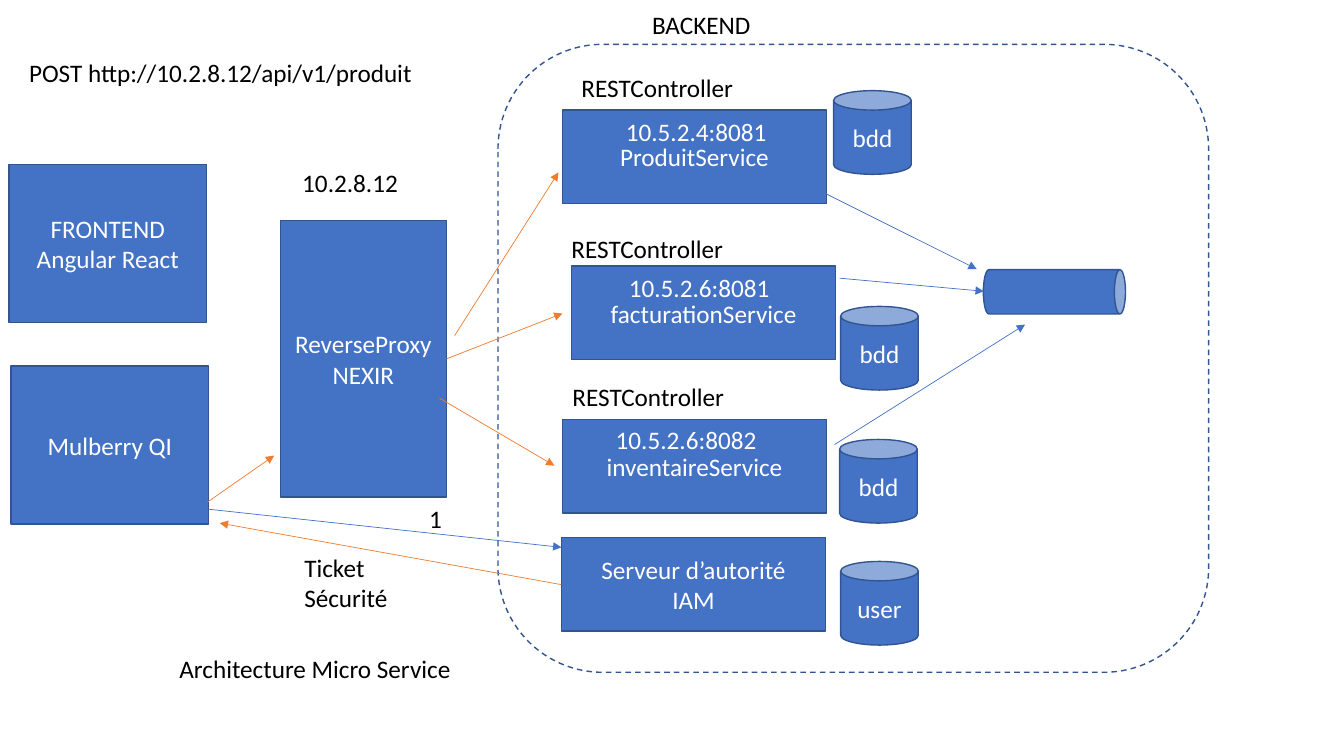
"""Build the micro-service architecture slide on a grid of tenth-of-an-inch cells."""
from typing import NamedTuple

import pptx
import pptx.dml.color
import pptx.enum.dml
import pptx.enum.shapes
import pptx.enum.text
import pptx.oxml
import pptx.oxml.ns
import pptx.util

COLUMNS, ROWS = 133.33, 75
CELL = pptx.util.Inches(0.1)
BLUE, EDGE, ORANGE, WHITE, BLACK = "4472C4", "325491", "ED7D31", "FFFFFF", "000000"
Preset = pptx.enum.shapes.MSO_SHAPE
Align = pptx.enum.text.PP_ALIGN
Anchor = pptx.enum.text.MSO_ANCHOR


class Area(NamedTuple):
    column: float
    row: float
    columns: float
    rows: float


class Node(NamedTuple):
    area: Area
    lines: tuple[str, ...] = ()
    preset: int = Preset.RECTANGLE
    rotation: float = 0


class Label(NamedTuple):
    area: Area
    lines: tuple[str, ...]
    color: str = BLACK


class Service(NamedTuple):
    name: str
    address: str
    corner: tuple[float, float]
    address_corner: tuple[float, float]
    controller_corner: tuple[float, float]


class Arrow(NamedTuple):
    start: tuple[float, float]
    end: tuple[float, float]
    color: str


SERVICE_SIZE, CLIENT_SIZE, STORE_SIZE = (26.2, 9.3), (19.6, 15.7), (7.7, 8.3)
BACKEND = Area(49.4, 4.4, 70.5, 62.3)
CAPTION = Label(Area(16.8, 64.3, 29.5, 4), ("Architecture Micro Service",))
SERVICES = [
    Service("ProduitService", "10.5.2.4:8081", (55.8, 10.9), (61.1, 11), (56.7, 6.7)),
    Service("facturationService", "10.5.2.6:8081", (56.7, 26.4), (61.4, 26.5), (55.7, 22.7)),
    Service("inventaireService", "10.5.2.6:8082", (55.8, 41.6), (60.1, 41.6), (55.8, 37.3)),
]
STORES = [("bdd", 82.7, 9), ("bdd", 83.4, 30.4), ("bdd", 83.3, 43.6), ("user", 83.4, 55.7)]
NODES = [
    Node(Area(0.9, 16.3, *CLIENT_SIZE), ("FRONTEND", "Angular React")),
    Node(Area(1.1, 36.3, *CLIENT_SIZE), ("Mulberry QI",)),
    Node(Area(27.8, 21.9, 16.5, 27.4), ("ReverseProxy", "NEXIR")),
    *(Node(Area(*service.corner, *SERVICE_SIZE), (service.name,)) for service in SERVICES),
    Node(Area(55.7, 53.3, *SERVICE_SIZE), ("Serveur d’autorité", "IAM")),
    *(Node(Area(column, row, *STORE_SIZE), (name,), Preset.CAN) for name, column, row in STORES),
    Node(Area(102.4, 21.9, 4.4, 14.1), (), Preset.CAN, 90),
]
LABELS = [
    Label(Area(63.7, 0.4, 14.5, 4), ("BACKEND",)),
    Label(Area(1.9, 5.2, 43.4, 4), ("POST http://10.2.8.12/api/v1/produit",)),
    Label(Area(29, 16.1, 14.5, 4), ("10.2.8.12",)),
    Label(Area(29.2, 54.3, 10.9, 7.1), ("Ticket", "Sécurité")),
    Label(Area(41.6, 49.4, 8.2, 4), ("1",)),
    *(Label(Area(*service.controller_corner, 18.9, 4), ("RESTController",)) for service in SERVICES),
    *(Label(Area(*service.address_corner, 19.5, 4), (service.address,), WHITE) for service in SERVICES),
]
ARROWS = [
    Arrow((80.5, 18.5), (96.9, 26.7), BLUE),
    Arrow((83.3, 27.6), (97.6, 28.9), BLUE),
    Arrow((82.8, 44.1), (101.7, 32.2), BLUE),
    Arrow((15.9, 50), (55.7, 54.3), BLUE),
    Arrow((55.7, 58), (21.8, 51.9), ORANGE),
    Arrow((20.6, 49.8), (27.2, 45.2), ORANGE),
    Arrow((45.1, 33.3), (55.4, 17.1), ORANGE),
    Arrow((44.3, 35.6), (55.8, 31.1), ORANGE),
    Arrow((43.6, 39.5), (55, 46.2), ORANGE),
]


def rgb(color: str) -> pptx.dml.color.RGBColor:
    return pptx.dml.color.RGBColor.from_string(color)


def cells(*counts: float) -> list[int]:
    return [round(count * CELL) for count in counts]


def write(frame, lines: tuple[str, ...], color: str, align: int, anchor: int) -> None:
    frame.word_wrap = True
    frame.auto_size = pptx.enum.text.MSO_AUTO_SIZE.NONE
    frame.vertical_anchor = anchor
    for index, line in enumerate(lines):
        paragraph = frame.add_paragraph() if index else frame.paragraphs[0]
        paragraph.alignment = align
        run = paragraph.add_run()
        run.text = line
        run.font.name = "Calibri"
        run.font.size = pptx.util.Pt(18)
        run.font.color.rgb = rgb(color)


def draw_outline(slide, area: Area, preset: int):
    shape = slide.shapes.add_shape(preset, *cells(*area))
    shape.shadow.inherit = False
    shape.line.color.rgb = rgb(EDGE)
    shape.line.width = pptx.util.Pt(1)
    return shape


def draw_backend(slide) -> None:
    frame = draw_outline(slide, BACKEND, Preset.ROUNDED_RECTANGLE)
    frame.fill.background()
    frame.line.dash_style = pptx.enum.dml.MSO_LINE.DASH


def draw_node(slide, node: Node) -> None:
    shape = draw_outline(slide, node.area, node.preset)
    shape.rotation = node.rotation
    shape.fill.solid()
    shape.fill.fore_color.rgb = rgb(BLUE)
    write(shape.text_frame, node.lines, WHITE, Align.CENTER, Anchor.MIDDLE)


def draw_label(slide, label: Label) -> None:
    box = slide.shapes.add_textbox(*cells(*label.area))
    write(box.text_frame, label.lines, label.color, Align.LEFT, Anchor.TOP)


def draw_arrow(slide, arrow: Arrow) -> None:
    connector = slide.shapes.add_connector(
        pptx.enum.shapes.MSO_CONNECTOR.STRAIGHT, *cells(*arrow.start, *arrow.end))
    connector.line.color.rgb = rgb(arrow.color)
    connector.line.width = pptx.util.Pt(0.5)
    head = pptx.oxml.parse_xml(f'<a:tailEnd {pptx.oxml.ns.nsdecls("a")} type="triangle"/>')
    connector.line._get_or_add_ln().append(head)
    connector._element.spPr.append(
        pptx.oxml.parse_xml(f'<a:effectLst {pptx.oxml.ns.nsdecls("a")}/>'))


def place_caption(slide) -> None:
    caption = slide.shapes.title
    caption.left, caption.top, caption.width, caption.height = cells(*CAPTION.area)
    write(caption.text_frame, CAPTION.lines, CAPTION.color, Align.LEFT, Anchor.TOP)


def main() -> None:
    deck = pptx.Presentation()
    deck.slide_width, deck.slide_height = cells(COLUMNS, ROWS)
    slide = deck.slides.add_slide(deck.slide_layouts.get_by_name("Title Only"))
    place_caption(slide)
    draw_backend(slide)
    for node in NODES:
        draw_node(slide, node)
    for label in LABELS:
        draw_label(slide, label)
    for arrow in ARROWS:
        draw_arrow(slide, arrow)
    deck.save("out.pptx")


main()
